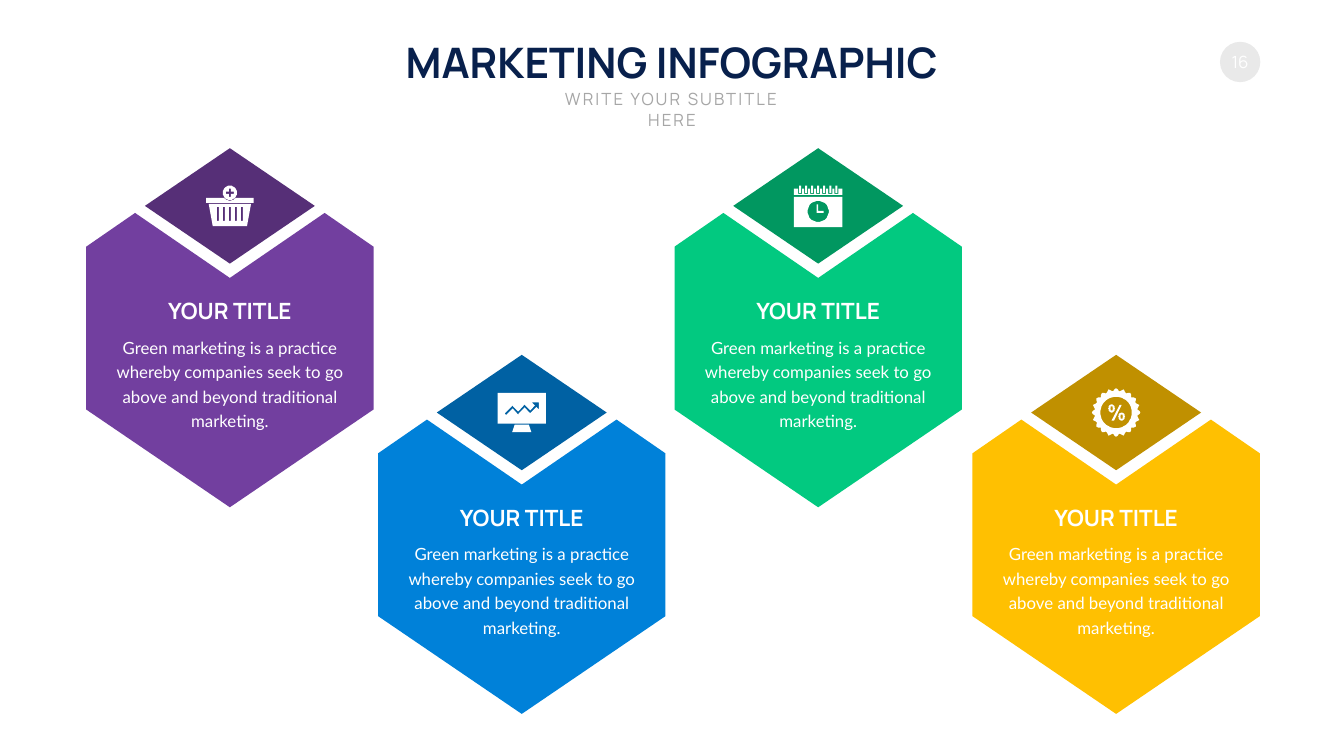
"""Build a marketing slide with four hexagon cards in a zigzag."""
from math import cos, pi, sin

from pptx import Presentation
from pptx.dml.color import RGBColor
from pptx.enum.shapes import MSO_SHAPE
from pptx.enum.text import MSO_ANCHOR, MSO_AUTO_SIZE, PP_ALIGN
from pptx.util import Inches, Pt

CENTER = PP_ALIGN.CENTER
TOP, MIDDLE = MSO_ANCHOR.TOP, MSO_ANCHOR.MIDDLE
FIXED = MSO_AUTO_SIZE.NONE
OVAL, DIAMOND = MSO_SHAPE.OVAL, MSO_SHAPE.DIAMOND

WIDE, HIGH = 26.66, 15
UNIT = Inches(0.01)
COLORS = {
    "navy": "08204C", "gray": "A6A6A6", "pale": "E9E9E9", "white": "FFFFFF",
    "purple": "723F9F", "plum": "562F77", "blue": "0081D9", "deep": "0061A3",
    "green": "02C980", "pine": "019760", "gold": "FFC001", "ochre": "C09000",
}
HEAD = "YOUR TITLE"
BODY = ("Green marketing is a practice whereby companies seek to go "
        "above and beyond traditional marketing.")
ROWS = (2.94, 7.04)
CARDS = [
    ("basket", 4.56, 0, "purple", "plum"),
    ("chart", 10.35, 1, "blue", "deep"),
    ("date", 16.23, 0, "green", "pine"),
    ("badge", 22.14, 1, "gold", "ochre"),
]
GEM_W, GEM_H = 3.37, 2.29
HEX = [(-188, 14.5), (0, 143), (188, 14.5), (285, 81),
       (285, 404), (0, 598), (-285, 404), (-285, 81)]
TREND = [(20, -20), (26, -14), (17, -4), (7, -14), (6, -16), (4, -14),
         (-7, -2), (-17, -12), (-18, -14), (-20, -12), (-34, 2), (-31, 5),
         (-18, -8), (-9, 2), (-7, 4), (-6, 2), (6, -10), (15, 0), (17, 1),
         (18, 0), (29, -11), (34, -6), (34, -20)]


def box(left, top, right, low):
    return [(left, top), (right, top), (right, low), (left, low)]


def ring(x, y, rx, ry=None, wave=0, lobes=0, count=48):
    ry = ry or rx
    pts = []
    for i in range(count):
        turn = 2 * pi * i / count
        bump = wave * cos(lobes * turn)
        pts.append((x + (rx + bump) * sin(turn), y - (ry + bump) * cos(turn)))
    return pts


def basket():
    bars = [box(x - 2, 2, x + 2, 30) for x in range(-24, 25, 12)]
    pan = [(-42, -4), (42, -4), (34, 40), (-34, 40)]
    dip = [(-12, -16), (-7, -12), (0, -10), (7, -12), (12, -16)]
    rim = [(-47, -16)] + dip + [(47, -16), (47, -6), (-47, -6)]
    plus = [(-2, -34), (2, -34), (2, -28), (8, -28), (8, -24), (2, -24),
            (2, -18), (-2, -18), (-2, -24), (-8, -24), (-8, -28), (-2, -28)]
    return bars + [pan, rim, plus, ring(0, -26, 14)]


def chart():
    stand = [(-14, 24), (14, 24), (19, 39), (-19, 39)]
    return [box(-48, -39, 48, 22), TREND, stand]


def date():
    hands = [(-3, -3), (0, -3), (0, 10), (11, 10), (11, 14), (-3, 14)]
    steps = range(-40, 33, 12)
    band = [(-48, -34)]
    for x in steps:
        band += [(x, -34), (x, -24), (x + 8, -24), (x + 8, -34)]
    band += [(48, -34), (48, -22), (-48, -22)]
    pins = [box(x + 2, -40, x + 6, -26) for x in steps]
    return [box(-48, -18, 48, 42), ring(0, 11, 21), hands, band] + pins


def badge():
    parts = [ring(0, 0, 45.5, wave=2.5, lobes=20, count=160), ring(0, 0, 31)]
    for x, y in [(-9, -8), (11, 8)]:
        parts += [ring(x, y, 6.5, 8), ring(x, y, 2.5, 4.5)]
    return parts + [[(7, -15), (11, -15), (-4, 16), (-9, 16)]]


ICONS = {"basket": basket, "chart": chart, "date": date, "badge": badge}


def paint(shape, color):
    shape.fill.solid()
    shape.fill.fore_color.rgb = RGBColor.from_string(COLORS[color])
    shape.line.fill.background()
    shape.shadow.inherit = False


def outline(slide, x, y, parts, color):
    pen = slide.shapes.build_freeform(*parts[0][0], scale=UNIT)
    for i, pts in enumerate(parts):
        if i:
            pen.move_to(*pts[0])
        pen.add_line_segments(pts[1:], close=True)
    paint(pen.convert_to_shape(Inches(x), Inches(y)), color)


def write(shape, text, size, color, font="Manrope", bold=False,
          wrap=False, anchor=TOP, lead=None, space=0):
    frame = shape.text_frame
    frame.word_wrap = wrap
    frame.auto_size = FIXED
    frame.vertical_anchor = anchor
    para = frame.paragraphs[0]
    para.alignment = CENTER
    if lead:
        para.line_spacing = Pt(lead)
    run = para.add_run()
    run.text = text
    run.font.size = Pt(size)
    run.font.name = font
    run.font.bold = bold
    run.font.color.rgb = RGBColor.from_string(COLORS[color])
    if space:
        run.font._element.set("spc", str(space * 100))


def label(slide, mid, top, wide, high, *args, **style):
    place = map(Inches, (mid - wide / 2, top, wide, high))
    write(slide.shapes.add_textbox(*place), *args, **style)


def header(slide):
    title = slide.shapes.title
    title.left, title.top = Inches(WIDE / 2 - 5.62), Inches(0.67)
    title.width, title.height = Inches(11.23), Inches(1.11)
    write(title, "MARKETING INFOGRAPHIC", 60, "navy", bold=True, anchor=MIDDLE)
    label(slide, WIDE / 2, 1.72, 5.43, 0.5, "WRITE YOUR SUBTITLE HERE",
          24, "gray", wrap=True, space=3)
    dot = slide.shapes.add_shape(OVAL, *map(Inches, (24.2, 0.83, 0.8, 0.8)))
    paint(dot, "pale")
    write(dot, "16", 24, "white", anchor=MIDDLE)


def card(slide, icon, mid, row, light, dark):
    top = ROWS[row]
    core = top + GEM_H / 2
    outline(slide, mid, core, [HEX], light)
    place = map(Inches, (mid - GEM_W / 2, top, GEM_W, GEM_H))
    paint(slide.shapes.add_shape(DIAMOND, *place), dark)
    outline(slide, mid, core, ICONS[icon](), "white")
    label(slide, mid, top + 3.62, 4.91, 2.01, BODY, 24, "white",
          font="Lato", wrap=True, lead=35)
    label(slide, mid, top + 2.91, 2.68, 0.64, HEAD, 32, "white",
          bold=True, anchor=MIDDLE)


def main():
    deck = Presentation()
    deck.slide_width, deck.slide_height = Inches(WIDE), Inches(HIGH)
    slide = deck.slides.add_slide(deck.slide_layouts[5])
    header(slide)
    for item in CARDS:
        card(slide, *item)
    deck.save("out.pptx")


if __name__ == "__main__":
    main()
